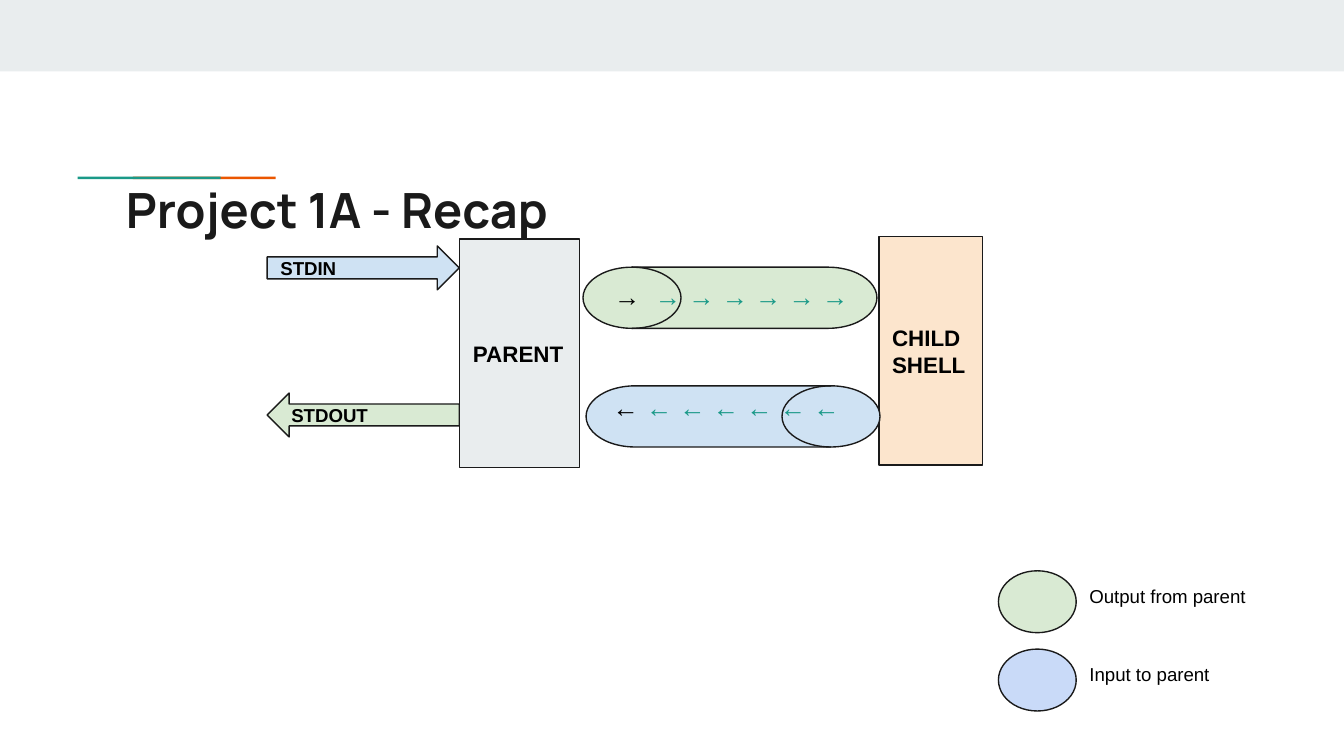
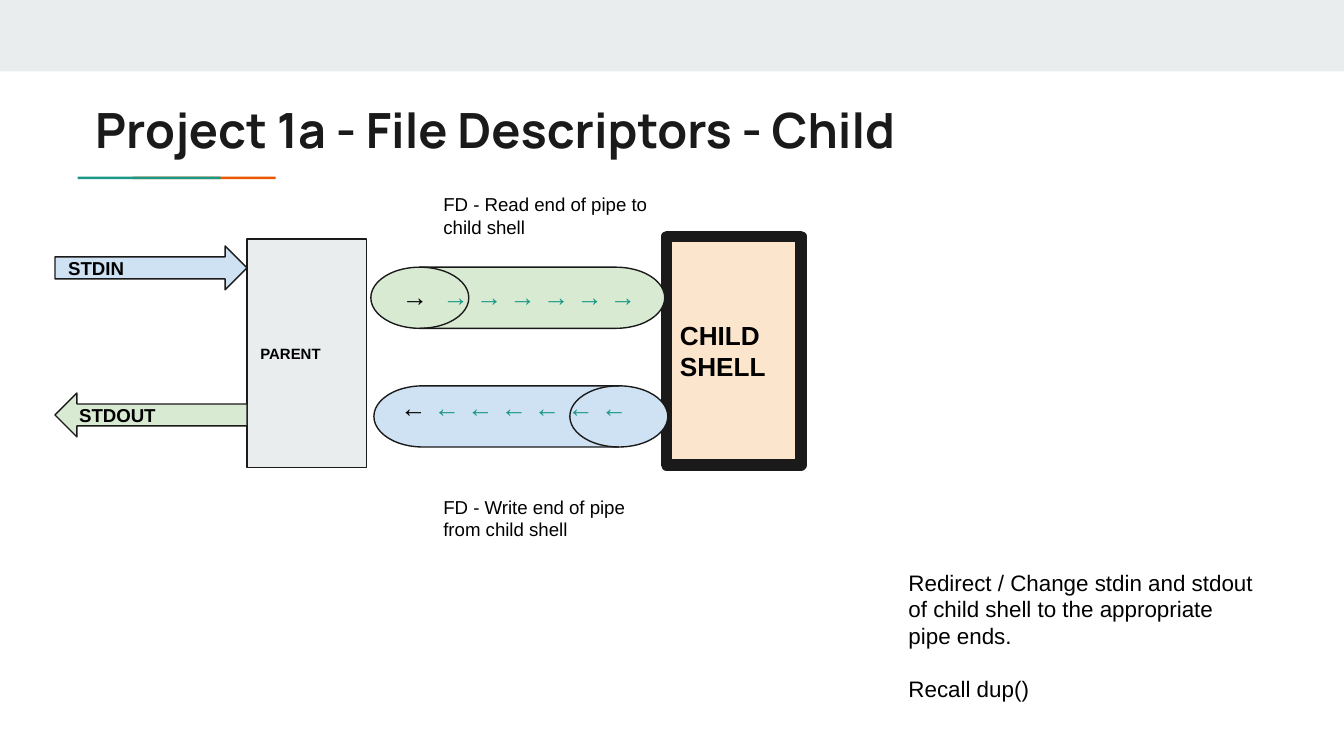
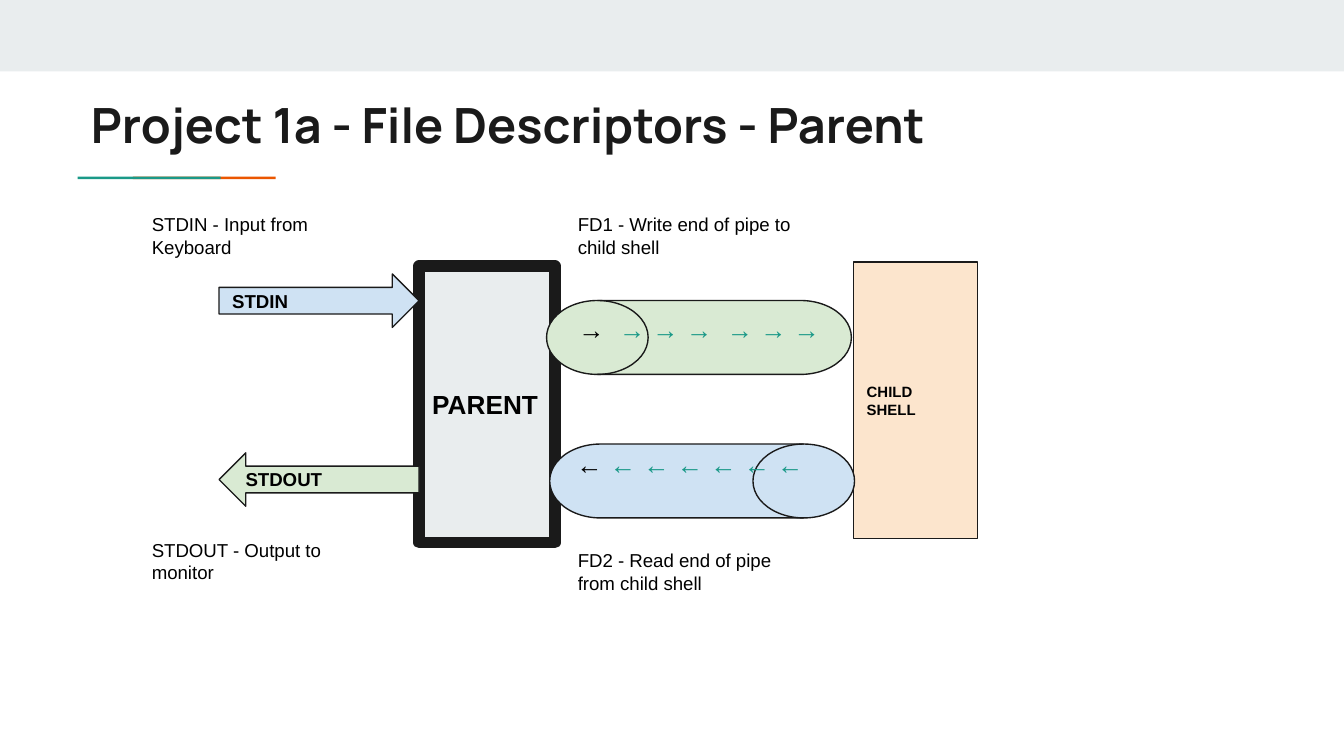
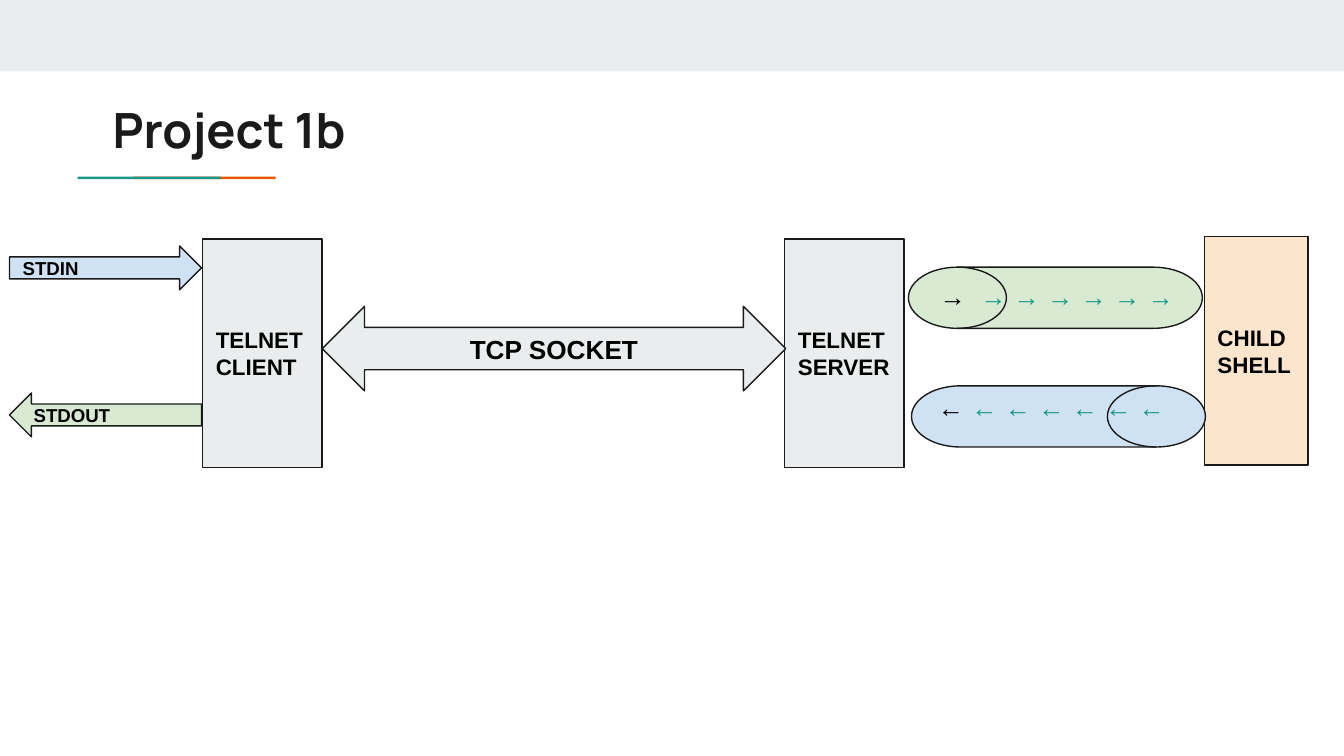
from dataclasses import dataclass
from typing import NamedTuple

from lxml import etree
from pptx import Presentation
from pptx.dml.color import RGBColor
from pptx.enum.shapes import MSO_SHAPE as Preset
from pptx.enum.text import MSO_ANCHOR as Anchor, PP_ALIGN as Align
from pptx.oxml.ns import qn
from pptx.util import Cm, Pt


@dataclass(frozen=True)
class Theme:
    ink: str = "1A1A1A"
    text: str = "000000"
    grey: str = "E9EDEE"
    teal: str = "1A9988"
    orange: str = "EB5600"
    green: str = "D9EAD3"
    blue: str = "CFE2F3"
    key_blue: str = "C9DAF8"
    peach: str = "FCE5CD"
    title_font: str = "Manrope"
    body_font: str = "Arial"
    title: int = 26
    emphasis: int = 14
    body: int = 12
    label: int = 10
    small: int = 8
    thin: float = 0.75
    thick: float = 6
    inset: float = 0.25
    wide_gap: int = 195


THEME = Theme()


class Box(NamedTuple):
    """Left, top, width and height in centimetres."""
    left: float
    top: float
    width: float
    height: float

    def inner(self, x, y, w, h):
        """Return the box at the given fractions of this one."""
        return Box(self.left + x * self.width, self.top + y * self.height,
                   w * self.width, h * self.height)

    def lengths(self):
        return [Cm(value) for value in self]


def assign(target, values):
    for name, value in values.items():
        setattr(target, name, value)


def write(shape, paragraphs, size, bold=False, font=THEME.body_font,
          color=THEME.text, anchor=Anchor.TOP, align=Align.LEFT,
          space_before=0, **margins):
    """Fill a shape with paragraphs, each a string or a list of (text, color, wide) runs."""
    frame = shape.text_frame
    assign(frame, {"word_wrap": True, "vertical_anchor": anchor}
           | {f"margin_{side}": Cm(margins.get(side, THEME.inset))
              for side in ("left", "top", "right", "bottom")})
    for index, content in enumerate(paragraphs):
        paragraph = frame.add_paragraph() if index else frame.paragraphs[0]
        assign(paragraph, {"alignment": align,
                           "space_before": Pt(space_before if index else 0)})
        runs = [(content, color, False)] if isinstance(content, str) else content
        for words, run_color, wide in runs:
            run = paragraph.add_run()
            run.text = words
            assign(run.font, {"name": font, "size": Pt(size), "bold": bold})
            run.font.color.rgb = RGBColor.from_string(run_color)
            if wide:
                run._r.get_or_add_rPr().set("spc", str(THEME.wide_gap))


def add_text(slide, box, paragraphs, size=THEME.label, **style):
    write(slide.shapes.add_textbox(*box.lengths()), paragraphs, size, **style)


def add_figure(slide, preset, box, fill, line=THEME.thin):
    figure = slide.shapes.add_shape(preset, *box.lengths())
    figure.shadow.inherit = False
    figure.fill.solid()
    figure.fill.fore_color.rgb = RGBColor.from_string(fill)
    if line:
        figure.line.width = Pt(line)
        figure.line.color.rgb = RGBColor.from_string(THEME.ink)
        outline = figure._element.spPr.find(qn("a:ln"))
        etree.SubElement(outline, qn("a:round"))
    else:
        figure.line.fill.background()
    return figure


def add_labelled(slide, preset, box, fill, lines, size, line=THEME.thin, **style):
    write(add_figure(slide, preset, box, fill, line), lines, size,
          bold=True, anchor=Anchor.MIDDLE, **style)


def add_process(slide, box, fill, lines, size=THEME.body, line=THEME.thin):
    add_labelled(slide, Preset.RECTANGLE, box, fill, lines, size, line)


def add_parent(slide, box, **style):
    add_process(slide, box, THEME.grey, ["PARENT"], **style)


def add_child(slide, box, **style):
    add_process(slide, box, THEME.peach, ["CHILD", "SHELL"], **style)


def add_pipe(slide, box, fill, rotation):
    """Lay an upright disk on its side so that it covers the box."""
    left, top, length, bore = box
    upright = Box(left + (length - bore) / 2, top + (bore - length) / 2, bore, length)
    add_figure(slide, Preset.FLOWCHART_MAGNETIC_DISK, upright, fill).rotation = rotation


def add_pipes(slide, box, split_flow=False):
    """Draw the pipe to the child above the pipe from it."""
    add_pipe(slide, box.inner(0, 0, 0.99, 0.34), THEME.green, 270)
    add_pipe(slide, box.inner(0.01, 0.66, 0.99, 0.34), THEME.blue, 90)
    lead = ("→ ", THEME.text, True)
    if split_flow:
        outward = [lead, ("→ → ", THEME.teal, False), ("→ ", THEME.teal, True),
                   ("→ → →", THEME.teal, False)]
    else:
        outward = [lead, ("→ → → → → →", THEME.teal, False)]
    inward = [("← ", THEME.text, False), ("← ← ← ← ← ←", THEME.teal, False)]
    add_text(slide, box.inner(0.06, 0, 0.96, 0.34), [outward], THEME.emphasis)
    add_text(slide, box.inner(0.03, 0.62, 0.96, 0.34), [inward], THEME.emphasis,
             bold=True, left=0.39)


def add_standard_streams(slide, box):
    add_labelled(slide, Preset.RIGHT_ARROW, box.inner(0, 0, 1, 0.23),
                 THEME.blue, ["STDIN"], THEME.label)
    add_labelled(slide, Preset.LEFT_ARROW, box.inner(0, 0.77, 1, 0.23),
                 THEME.green, ["STDOUT"], THEME.label)


def add_legend(slide, box):
    key_width, key_height = 1.47, 1.17
    entries = [(THEME.green, "Output from parent"), (THEME.key_blue, "Input to parent")]
    pitch = (box.height - key_height) / (len(entries) - 1)
    for row, (fill, meaning) in enumerate(entries):
        top = box.top + row * pitch
        add_figure(slide, Preset.OVAL, Box(box.left, top, key_width, key_height), fill)
        add_text(slide, Box(box.left + key_width, top + 0.05, box.width - key_width, 0.97),
                 [meaning])


def add_captions(slide, captions):
    for left, top, caption in captions:
        add_text(slide, Box(left, top, 4.6, 1.24), [caption])


def start_slide(deck, title, left, top):
    """Add a slide with the top band, the two-colour rule and its title."""
    slide = deck.slides.add_slide(deck.slide_layouts[6])
    for box, fill in [(Box(0, 0, 25.4, 1.35), THEME.grey),
                      (Box(2.51, 3.34, 2.7, 0.05), THEME.orange),
                      (Box(1.47, 3.34, 2.7, 0.05), THEME.teal)]:
        add_figure(slide, Preset.RECTANGLE, box, fill, line=None)
    add_text(slide, Box(left, top, 21.36, 1.5), [title], THEME.title,
             bold=True, font=THEME.title_font, color=THEME.ink)
    return slide


def recap_slide(deck):
    slide = start_slide(deck, "Project 1A - Recap", 2.13, 3.15)
    add_parent(slide, Box(8.69, 4.52, 2.26, 4.32))
    add_child(slide, Box(16.61, 4.47, 1.96, 4.32))
    add_pipes(slide, Box(11.02, 5.05, 5.61, 3.4))
    add_standard_streams(slide, Box(5.05, 4.65, 3.63, 3.61))
    add_legend(slide, Box(18.87, 10.79, 5.56, 2.65))


def child_slide(deck):
    slide = start_slide(deck, "Project 1a - File Descriptors - Child", 1.55, 1.65)
    add_parent(slide, Box(4.67, 4.52, 2.26, 4.32), size=THEME.small)
    add_child(slide, Box(12.6, 4.47, 2.54, 4.32), size=THEME.emphasis, line=THEME.thick)
    add_pipes(slide, Box(7.01, 5.05, 5.61, 3.4))
    add_standard_streams(slide, Box(1.04, 4.65, 3.63, 3.61))
    add_captions(slide, [(8.13, 3.4, "FD - Read end of pipe to child shell"),
                         (8.13, 9.12, "FD - Write end of pipe from child shell")])
    add_text(slide, Box(16.92, 10, 7.06, 3.23),
             ["Redirect / Change stdin and stdout of child shell to the appropriate pipe ends.",
              "Recall dup()"], THEME.body, space_before=14, top=0.75)


def parent_slide(deck):
    slide = start_slide(deck, "Project 1a - File Descriptors - Parent", 1.47, 1.55)
    add_parent(slide, Box(7.92, 5.03, 2.57, 5.23), size=THEME.emphasis, line=THEME.thick)
    add_child(slide, Box(16.13, 4.95, 2.34, 5.23), size=THEME.small)
    add_pipes(slide, Box(10.33, 5.68, 5.82, 4.11), split_flow=True)
    add_standard_streams(slide, Box(4.14, 5.18, 3.78, 4.39))
    add_captions(slide, [(2.62, 3.78, "STDIN - Input from Keyboard"),
                         (2.62, 9.93, "STDOUT - Output to monitor"),
                         (10.67, 3.78, "FD1 - Write end of pipe to child shell"),
                         (10.67, 10.13, "FD2 - Read end of pipe from child shell")])


def telnet_slide(deck):
    slide = start_slide(deck, "Project 1b", 1.88, 1.65)
    for left, role in [(14.83, "SERVER"), (3.83, "CLIENT")]:
        add_process(slide, Box(left, 4.52, 2.26, 4.32), THEME.grey, ["TELNET", role])
    add_child(slide, Box(22.76, 4.47, 1.96, 4.32))
    add_pipes(slide, Box(17.17, 5.05, 5.61, 3.4))
    add_standard_streams(slide, Box(0.18, 4.65, 3.63, 3.61))
    add_labelled(slide, Preset.LEFT_RIGHT_ARROW, Box(6.09, 5.79, 8.76, 1.6), THEME.grey,
                 ["TCP SOCKET"], THEME.emphasis, align=Align.CENTER)


def main():
    deck = Presentation()
    assign(deck, {"slide_width": Cm(25.4), "slide_height": Cm(14.29)})
    for build in (recap_slide, child_slide, parent_slide, telnet_slide):
        build(deck)
    deck.save("out.pptx")


if __name__ == "__main__":
    main()
